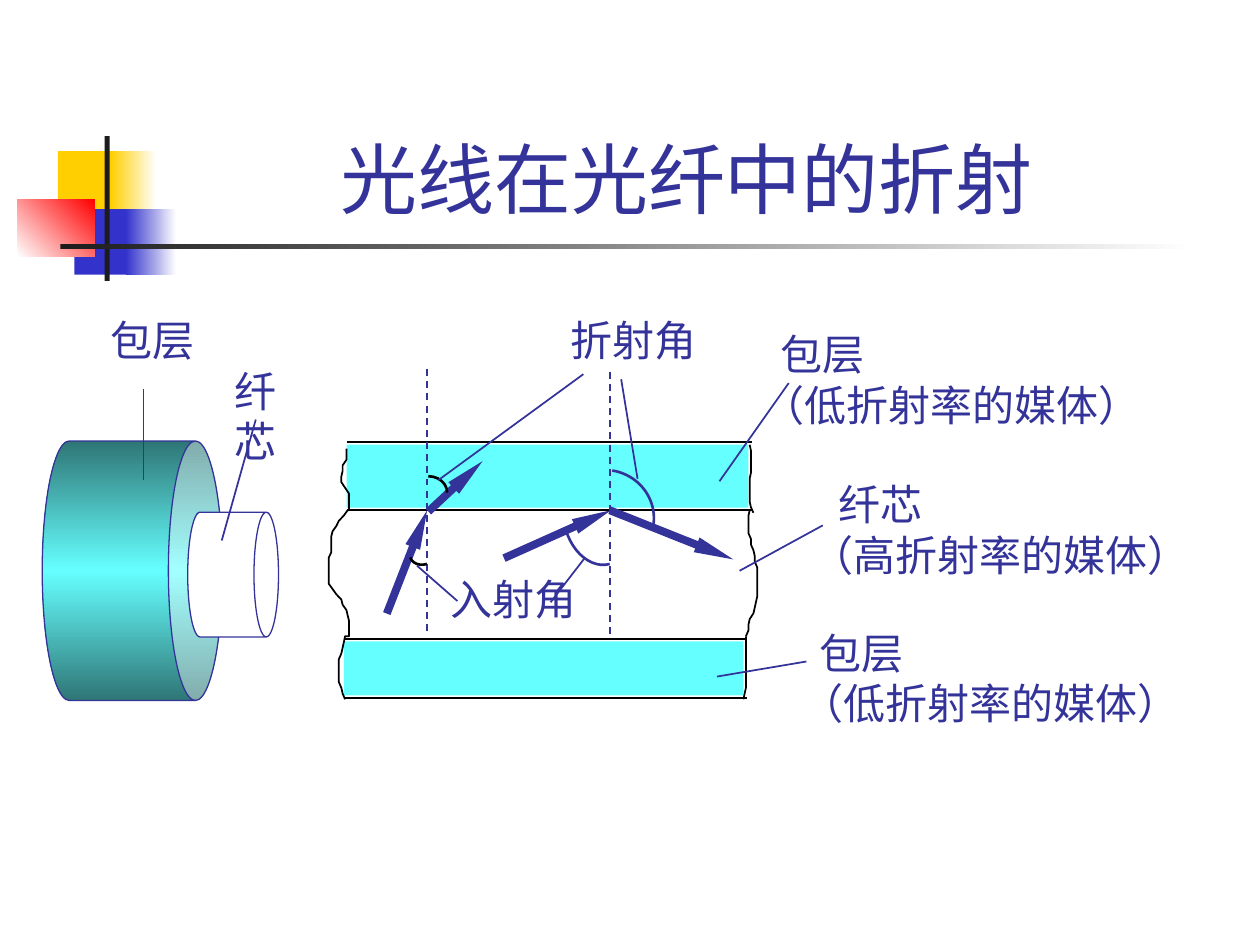
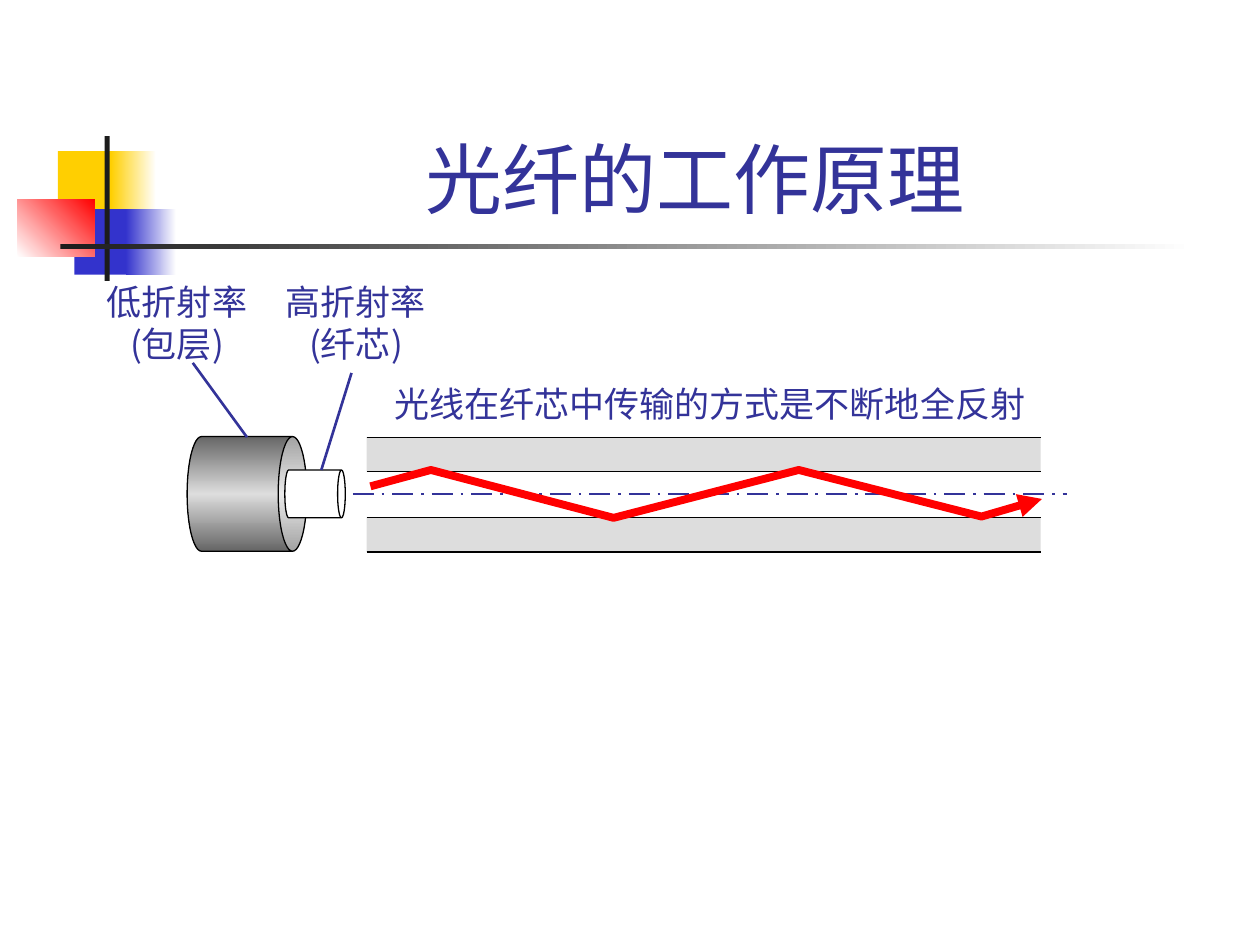
import copy

import pptx
import pptx.dml.color
import pptx.enum.dml
import pptx.enum.shapes
import pptx.enum.text
import pptx.oxml
import pptx.util
from lxml import etree

RGB = pptx.dml.color.RGBColor
SHAPE = pptx.enum.shapes.MSO_SHAPE
DASH = pptx.enum.dml.MSO_LINE
ALIGN = pptx.enum.text.PP_ALIGN

INK = RGB(0x33, 0x33, 0x99)
BLACK = RGB(0, 0, 0)
WHITE = RGB(0xFF, 0xFF, 0xFF)
YELLOW = RGB(0xFF, 0xCF, 0x01)
BLUE = RGB(0x33, 0x33, 0xCC)
RED = RGB(0xFF, 0, 0)
CHARCOAL = RGB(0x1C, 0x1C, 0x1C)
CYAN = RGB(0x66, 0xFF, 0xFF)
TEAL = RGB(0x2F, 0x76, 0x76)
SILVER = RGB(0xDD, 0xDD, 0xDD)
GRAY = RGB(0x66, 0x66, 0x66)

LATIN, HAN = "Arial", "Noto Sans CJK SC"


def grid(units):
    """Length on the layout grid, whose unit is 2.54 cm."""
    return pptx.util.Cm(2.54 * units)


def paint(shape, colors, angle=0):
    """Fill with nothing, one colour, or an even gradient."""
    shape.shadow.inherit = False
    if not colors:
        shape.fill.background()
    elif len(colors) == 1:
        shape.fill.solid()
        shape.fill.fore_color.rgb = colors[0]
    else:
        shape.fill.gradient()
        shape.fill.gradient_angle = angle
        stop_list = shape.element.xpath(".//a:gsLst")[0]
        while len(stop_list) < len(colors):
            stop_list.append(copy.deepcopy(stop_list[-1]))
        for index, stop in enumerate(shape.fill.gradient_stops):
            stop.position = index / (len(colors) - 1)
            stop.color.rgb = colors[index]


def outline(shape, color, width, dash=None, arrow=None):
    """Style a line; arrow is the (width, length) of the head at its end."""
    shape.line.color.rgb = color
    shape.line.width = pptx.util.Pt(width)
    if dash:
        shape.line.dash_style = dash
    if arrow:
        head = etree.SubElement(shape.element.xpath(".//a:ln")[0],
                                pptx.oxml.ns.qn("a:tailEnd"))
        head.set("type", "triangle")
        head.set("w", arrow[0])
        head.set("len", arrow[1])


def write(paragraph, text, size, font):
    run = paragraph.add_run()
    run.text = text
    run.font.size = pptx.util.Pt(size)
    run.font.name = font
    run.font.color.rgb = INK


class Region:
    """A box on a slide; its parts are placed from its top left corner."""

    def __init__(self, slide, left, top):
        self.shapes, self.left, self.top = slide.shapes, left, top

    def point(self, x, y):
        return grid(self.left + x), grid(self.top + y)

    def box(self, x, y, width, height, colors, angle=0, kind=SHAPE.RECTANGLE):
        shape = self.shapes.add_shape(kind, *self.point(x, y), grid(width), grid(height))
        paint(shape, colors, angle)
        shape.line.fill.background()
        return shape

    def line(self, x1, y1, x2, y2, color=INK, width=1, dash=None, arrow=None):
        line = self.shapes.add_connector(
            pptx.enum.shapes.MSO_CONNECTOR.STRAIGHT,
            *self.point(x1, y1), *self.point(x2, y2))
        outline(line, color, width, dash, arrow)
        etree.SubElement(line.element.spPr, pptx.oxml.ns.qn("a:effectLst"))

    def polyline(self, points, color, width, arrow=None):
        corners = [self.point(x, y) for x, y in points]
        builder = self.shapes.build_freeform(*corners[0])
        builder.add_line_segments(corners[1:], close=False)
        path = builder.convert_to_shape()
        paint(path, [])
        outline(path, color, width, arrow=arrow)

    def quarter_arc(self, x, y, radius_x, radius_y, rotation, color):
        arc = self.box(x - radius_x, y - radius_y, 2 * radius_x, 2 * radius_y,
                       [], kind=SHAPE.ARC)
        arc.rotation = rotation
        outline(arc, color, 1.5)

    def cylinder(self, x, y, length, diameter, rim, colors, color):
        """A lying cylinder centred on x, y."""
        can = self.box(x - diameter / 2, y - length / 2, diameter, length,
                       colors, kind=SHAPE.CAN)
        can.adjustments[0] = rim
        can.rotation = 90
        outline(can, color, 0.75)

    def label(self, x, y, width, height, lines, size=24, font=LATIN,
              align=ALIGN.LEFT, wrap=False, first_indent=0):
        frame = self.shapes.add_textbox(
            *self.point(x, y), grid(width), grid(height)).text_frame
        frame.word_wrap = wrap
        for index, text in enumerate(lines):
            paragraph = frame.paragraphs[0] if index == 0 else frame.add_paragraph()
            paragraph.alignment = align
            if index == 0 and first_indent:
                paragraph._p.get_or_add_pPr().set("marL", str(grid(first_indent)))
            write(paragraph, text, size, font)


# ---- Shared look ----

def decorate_master(master, slide):
    """Colour blocks and rules, drawn on a slide and moved to the master."""
    band = Region(slide, 0.14, 1.08)
    parts = [
        band.box(0.32, 0.12, 0.48, 0.52, [YELLOW]),
        band.box(0.74, 0.12, 0.36, 0.52, [YELLOW, WHITE]),
        band.box(0.45, 0.58, 0.46, 0.52, [BLUE]),
        band.box(0.86, 0.58, 0.4, 0.52, [BLUE, WHITE]),
        band.box(0, 0.5, 0.61, 0.46, [WHITE, RED], 45),
        band.box(0.69, 0, 0.04, 1.15, [CHARCOAL]),
        band.box(0.34, 0.86, 9, 0.04, [CHARCOAL, WHITE]),
    ]
    for index, part in enumerate(parts):
        part.element.xpath(".//p:cNvPr")[0].set("id", str(100 + index))
        master.shapes.element.insert(2 + index, part.element)


def add_titled_slide(deck, text):
    slide = deck.slides.add_slide(deck.slide_layouts[5])
    title = slide.shapes.title
    title.left, title.top = grid(1.26), grid(0.23)
    title.width, title.height = grid(8.52), grid(1.6)
    frame = title.text_frame
    frame.vertical_anchor = pptx.enum.text.MSO_ANCHOR.BOTTOM
    frame.paragraphs[0].alignment = ALIGN.CENTER
    write(frame.paragraphs[0], text, 44, LATIN)
    return slide


# ---- Slide 1: refraction ----

def draw_large_fiber(slide, left, top):
    fiber = Region(slide, left, top)
    fiber.cylinder(0.75, 2.13, 1.43, 2.06, 0.3, [TEAL, CYAN, TEAL], INK)
    fiber.cylinder(1.55, 2.16, 0.72, 0.99, 0.27, [WHITE], INK)
    fiber.label(0.48, 0.05, 0.95, 0.5, ["包层"])
    fiber.line(0.84, 0.69, 0.84, 1.41)
    fiber.label(1.46, 0.45, 0.76, 0.9, ["纤芯"], wrap=True)
    fiber.line(1.73, 0.93, 1.46, 1.89)


def torn_edge(top, bottom, offsets):
    """Points of a ragged edge, evenly spaced downwards; offsets in 1/100."""
    step = (bottom - top) / (len(offsets) - 1)
    return [(x / 100, top + step * row) for row, x in enumerate(offsets)]


def draw_refraction(slide, left, top):
    section = Region(slide, left, top)

    # Cladding bands
    for x, upper, lower, length, width in ((0.15, 1.11, 1.65, 3.22, 3.19),
                                           (0.13, 2.67, 3.14, 3.2, 3.17)):
        for y in (upper, lower):
            section.line(x, y, x + length, y, BLACK)
        section.box(x, upper + 0.02, width, lower - upper - 0.04, [CYAN])

    # Torn ends
    left_edge = (
        torn_edge(1.16, 1.65, [15, 15, 15, 12, 12, 11, 11, 14, 17, 17, 17, 17])
        + torn_edge(1.65, 2.65, [16, 13, 9, 7, 4, 3, 3, 3, 3, 1, 1, 1, 1, 1, 1,
                                 4, 7, 11, 12, 15, 16, 17, 17, 17, 17])
        + torn_edge(2.65, 3.15, [14, 13, 12, 11, 9, 9, 9, 9, 9, 11, 12, 14]))
    right_edges = (
        torn_edge(1.13, 1.67, [335, 336, 336, 336, 336, 336, 335, 335, 335,
                               335, 335, 336, 338]),
        torn_edge(1.65, 2.65, [335, 334, 334, 334, 334, 336, 336, 338, 339,
                               339, 341, 341, 341, 341, 341, 341, 340, 339,
                               338, 335, 334, 334, 332]),
        torn_edge(2.65, 3.15, [332] * 10 + [331, 330]))
    for edge in (left_edge, *right_edges):
        section.polyline(edge, BLACK, 1)

    # Normals and rays
    for x, y in ((0.79, 0.53), (2.24, 0.55)):
        section.line(x, y, x, y + 2.12, dash=DASH.DASH)
    for ray in ((0.8, 1.66, 1.23, 1.26), (0.47, 2.47, 0.79, 1.65),
                (1.4, 2.03, 2.25, 1.65), (2.24, 1.65, 3.22, 2.04)):
        section.line(*ray, width=4.5, arrow=("sm", "lg"))

    # Angles of incidence and refraction
    for angle in ((0.76, 1.99, 0.11, 0.09, 162, BLACK),
                  (0.8, 1.51, 0.15, 0.13, 0, BLACK),
                  (2.14, 1.73, 0.26, 0.36, 164, INK),
                  (2.2, 1.71, 0.39, 0.38, 9, INK)):
        section.quarter_arc(*angle)

    # Labels and their leaders
    section.label(1.83, 0.05, 1.2, 0.5, ["折射角"])
    section.label(0.88, 2.1, 1.2, 0.5, ["入射角"])
    cladding = ["包层", "（低折射率的媒体）"]
    core = ["纤芯", "（高折射率的媒体）"]
    section.label(3.35, 0.16, 3.2, 0.9, cladding, first_indent=0.15)
    section.label(3.66, 2.53, 3.2, 0.9, cladding, first_indent=0.15)
    section.label(3.74, 1.35, 3.48, 1.3, core, wrap=True, first_indent=0.22)
    for leader in ((2.33, 0.61, 2.46, 1.4), (0.88, 1.41, 2.03, 0.57),
                   (0.71, 2.09, 1.03, 2.37), (1.77, 2.38, 2.04, 2.03),
                   (3.27, 2.13, 3.93, 1.77), (3.66, 0.64, 3.11, 1.42),
                   (3.8, 2.85, 3.09, 2.97)):
        section.line(*leader)


# ---- Slide 2: total reflection ----

def draw_small_fiber(slide, left, top):
    fiber = Region(slide, left, top)
    fiber.cylinder(1.26, 1.82, 0.95, 0.91, 0.25, [GRAY, SILVER, GRAY], BLACK)
    fiber.cylinder(1.8, 1.82, 0.48, 0.38, 0.16, [WHITE], BLACK)
    for x, lines in ((1.47, ["高折射率", "(纤芯)"]), (0.05, ["低折射率", "(包层)"])):
        fiber.label(x, 0.08, 1.31, 0.77, lines, 20, HAN, ALIGN.CENTER)
    fiber.line(2.09, 0.86, 1.85, 1.63, width=1.5)
    fiber.line(0.83, 0.78, 1.26, 1.37, width=1.5)


def draw_reflection(slide, left, top):
    guide = Region(slide, left, top)
    borders = (0.57, 0.84, 1.21, 1.48)
    for upper, lower, color in zip(borders, borders[1:], (SILVER, WHITE, SILVER)):
        guide.box(0.11, upper, 5.35, lower - upper, [color])
    for y in borders:
        guide.line(0.11, y, 5.46, y, BLACK, 0.75)
    guide.line(0, 1.02, 5.67, 1.02, width=1.5, dash=DASH.LONG_DASH_DOT)
    guide.label(0.23, 0.09, 5.21, 0.44, ["光线在纤芯中传输的方式是不断地全反射"], 20, HAN)
    guide.polyline([(0.14, 0.96), (0.62, 0.83), (2.07, 1.21), (3.54, 0.83),
                    (4.99, 1.2), (5.47, 1.06)], RED, 4.5, ("med", "med"))


deck = pptx.Presentation()
deck.slide_width, deck.slide_height = grid(10), grid(7.5)

refraction = add_titled_slide(deck, "光线在光纤中的折射 ")
decorate_master(deck.slide_master, refraction)
draw_refraction(refraction, 2.6, 2.4)
draw_large_fiber(refraction, 0.3, 2.4)

principle = add_titled_slide(deck, "光纤的工作原理")
draw_reflection(principle, 2.8, 2.9)
draw_small_fiber(principle, 0.7, 2.1)

deck.save("out.pptx")
